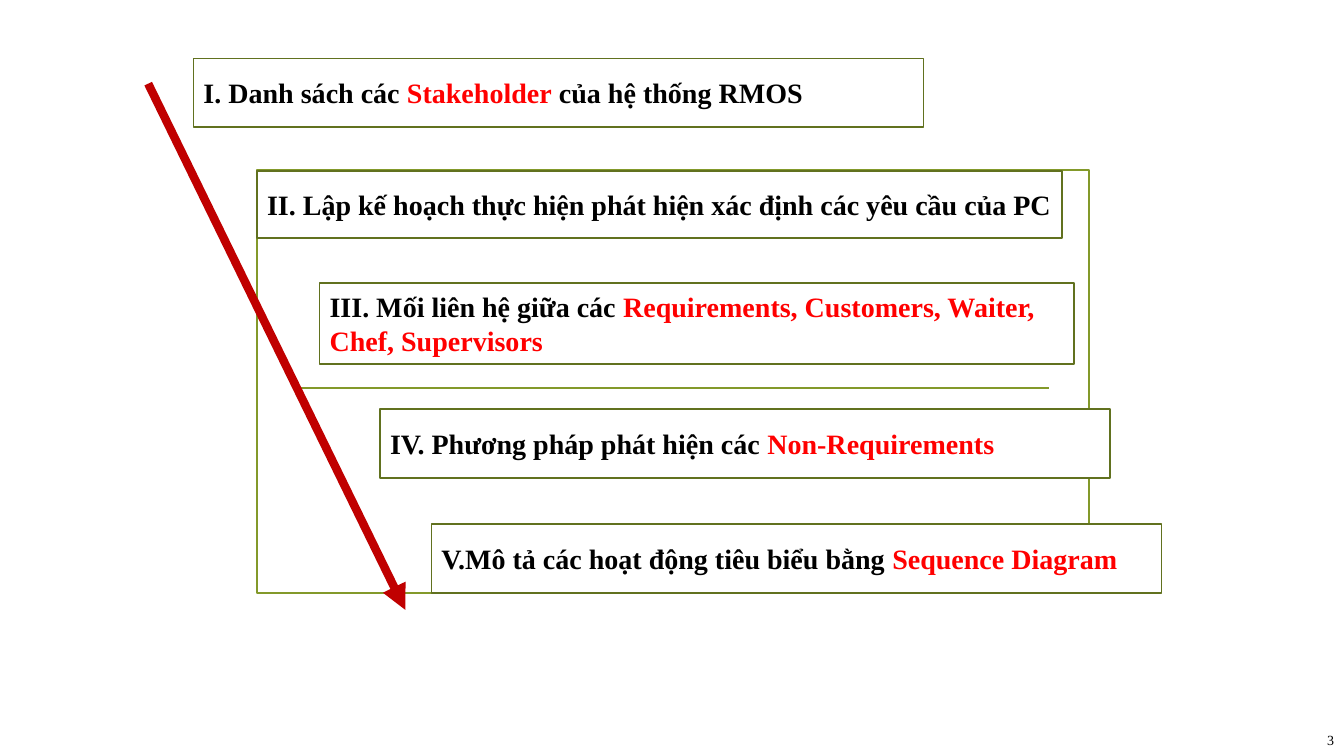
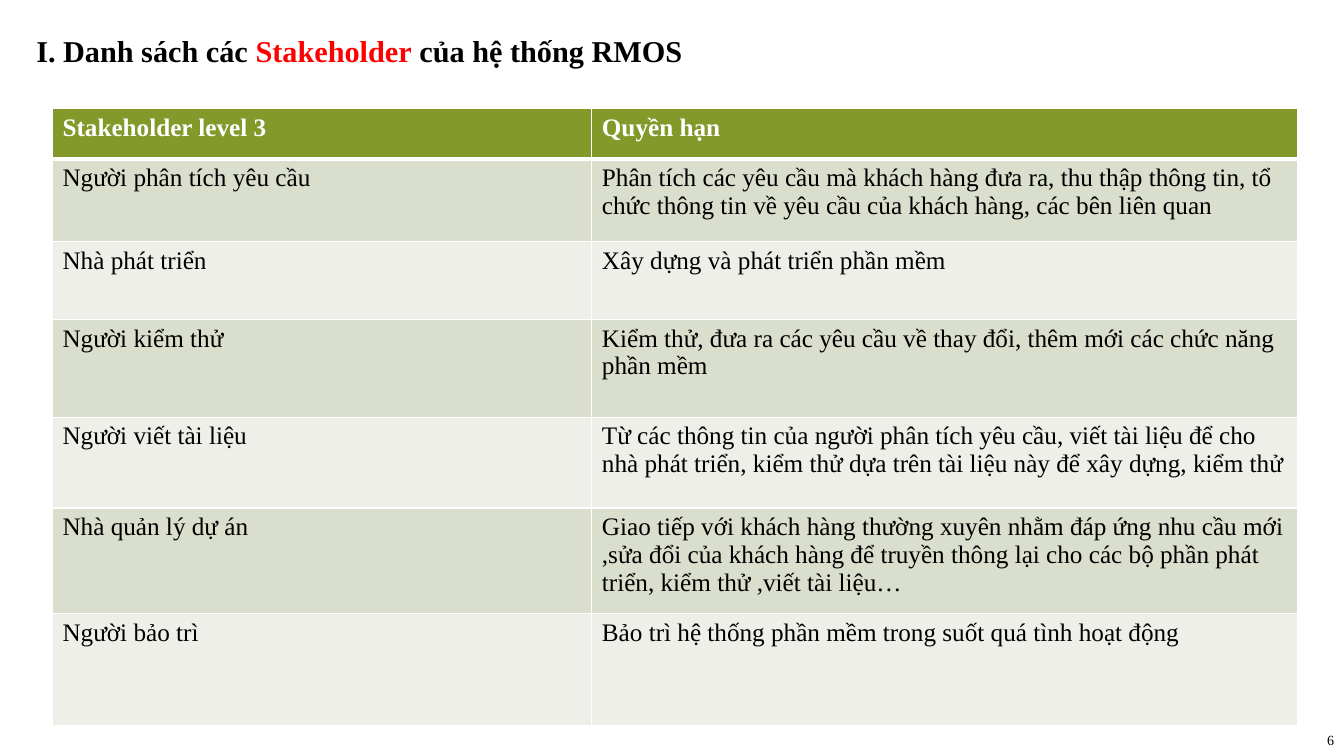
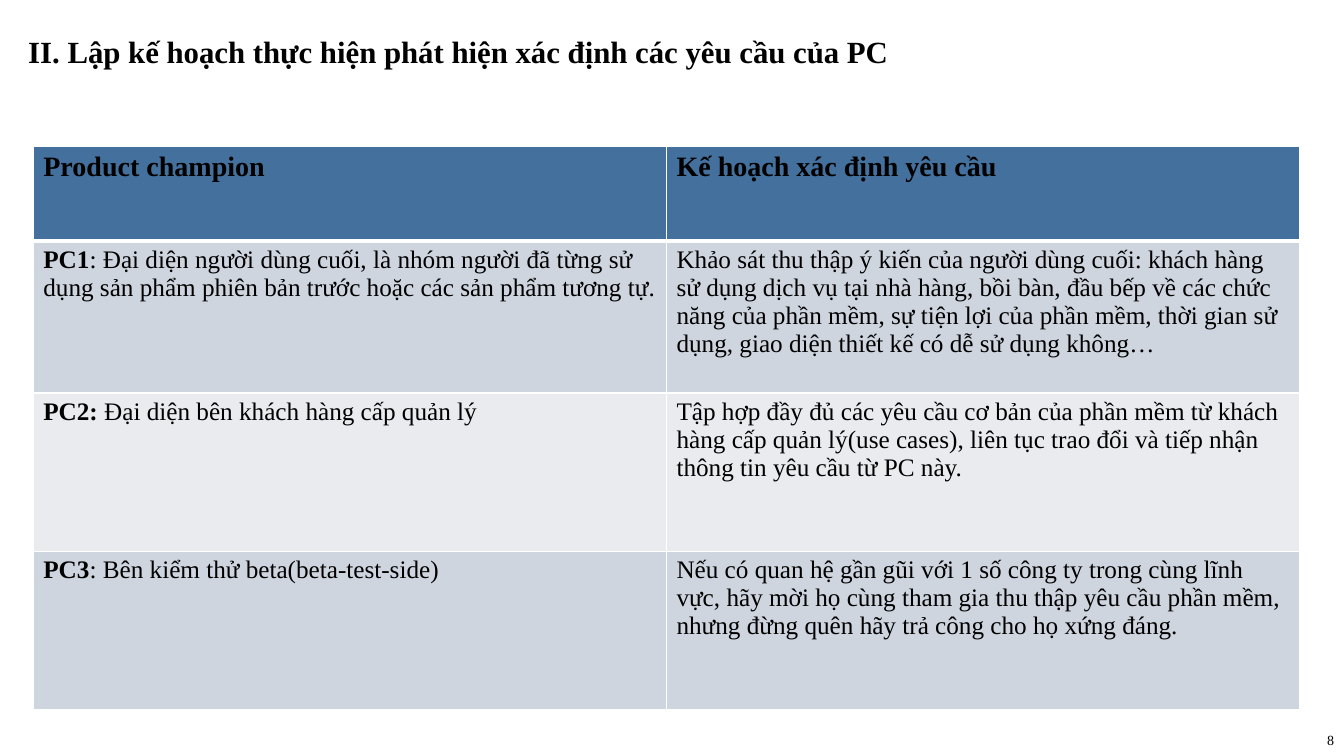
from lxml.etree import SubElement
from pptx import Presentation
from pptx.dml.color import RGBColor
from pptx.enum.shapes import MSO_CONNECTOR as CONNECTOR, MSO_SHAPE as SHAPE
from pptx.enum.text import MSO_ANCHOR as ANCHOR, MSO_AUTO_SIZE as AUTO_SIZE, PP_ALIGN as ALIGN
from pptx.oxml.ns import qn
from pptx.util import Inches, Pt

FONT = "Times New Roman"
COLORS = {
    "ink": "000000",
    "paper": "FFFFFF",
    "accent": "FF0000",
    "arrow": "C00000",
    "olive": "83992A",
    "olive_dark": "61711F",
    "olive_band": "D9DECD",
    "olive_pale": "EDEFE8",
    "blue": "44709D",
    "blue_band": "CFD5DF",
    "blue_pale": "E9EBEF",
}
TITLE_ONLY, BLANK = 5, 6


def rgb(name):
    return RGBColor.from_string(COLORS[name])


def write(frame, text, size=20, color="ink", bold=True, accent="accent",
          accent_bold=True, align=ALIGN.LEFT):
    """Fill a text frame; parts between asterisks take the accent format."""
    for number, line in enumerate(text.split("\n")):
        paragraph = frame.add_paragraph() if number else frame.paragraphs[0]
        paragraph.alignment = align
        for index, part in enumerate(line.split("*")):
            if not part:
                continue
            stressed = index % 2 == 1
            run = paragraph.add_run()
            run.text = part
            run.font.name = FONT
            run.font.size = Pt(size)
            run.font.bold = accent_bold if stressed else bold
            run.font.color.rgb = rgb(accent if stressed else color)


def set_border(cell, side, width):
    """Draw a white border; it must be set before the cell's fill."""
    line = SubElement(cell._tc.get_or_add_tcPr(), qn(f"a:ln{side}"), w=str(Pt(width)))
    fill = SubElement(line, qn("a:solidFill"))
    SubElement(fill, qn("a:srgbClr"), val=COLORS["paper"])


class Deck:
    def __init__(self):
        self.presentation = Presentation()
        self.presentation.slide_width = Inches(13.33)
        self.presentation.slide_height = Inches(7.5)
        self.slide = None

    def start_slide(self, number, layout=TITLE_ONLY):
        self.slide = self.presentation.slides.add_slide(
            self.presentation.slide_layouts[layout])
        page = self.slide.shapes.add_textbox(
            Inches(12.73), Inches(7.19), Inches(0.6), Inches(0.31)).text_frame
        page.word_wrap = True
        page.vertical_anchor = ANCHOR.MIDDLE
        write(page, str(number), size=10, bold=False, align=ALIGN.RIGHT)

    def share(self, *shapes):
        """Move shapes to the slide master, so that every slide has them."""
        tree = self.presentation.slide_master.shapes._spTree
        for shape_id, shape in enumerate(shapes, start=101):
            shape._element._nvXxPr.cNvPr.set("id", str(shape_id))
            tree.append(shape._element)

    def title(self, text, left, width, height, size=22):
        title = self.slide.shapes.title
        title.left, title.top = Inches(left), Inches(0.29)
        title.width, title.height = Inches(width), Inches(height)
        frame = title.text_frame
        frame.word_wrap = True
        frame.auto_size = AUTO_SIZE.NONE
        frame.vertical_anchor = ANCHOR.MIDDLE
        write(frame, text, size=size)

    def box(self, left, top, width, height, text="", line="olive_dark", fill="paper"):
        box = self.slide.shapes.add_shape(
            SHAPE.RECTANGLE, Inches(left), Inches(top), Inches(width), Inches(height))
        box.shadow.inherit = False
        if fill:
            box.fill.solid()
            box.fill.fore_color.rgb = rgb(fill)
        else:
            box.fill.background()
        box.line.color.rgb = rgb(line)
        box.line.width = Pt(1.25)
        if text:
            box.text_frame.word_wrap = True
            box.text_frame.margin_right = Inches(0.05)
            box.text_frame.vertical_anchor = ANCHOR.MIDDLE
            write(box.text_frame, text)
        return box

    def line(self, start, end, color, width, arrow=False):
        line = self.slide.shapes.add_connector(
            CONNECTOR.STRAIGHT, *(Inches(value) for value in (*start, *end)))
        line.line.color.rgb = rgb(color)
        line.line.width = Pt(width)
        if arrow:
            SubElement(line.line._get_or_add_ln(), qn("a:tailEnd"), type="triangle")
        SubElement(line._element.spPr, qn("a:effectLst"))
        return line

    def table(self, left, top, widths, heights, rows, palette,
              header_size=18, header_color="paper"):
        """Draw a table whose palette names the header, odd and even row fills."""
        header_fill, *bands = palette
        table = self.slide.shapes.add_table(
            len(heights), len(widths), Inches(left), Inches(top),
            Inches(sum(widths)), Inches(sum(heights))).table
        for column, width in zip(table.columns, widths):
            column.width = Inches(width)
        for r, (height, texts) in enumerate(zip(heights, rows)):
            table.rows[r].height = Inches(height)
            for c, text in enumerate(texts):
                cell = table.cell(r, c)
                for side in "LRTB":
                    under_header = (r, side) in ((0, "B"), (1, "T"))
                    set_border(cell, side, 3 if under_header else 1)
                cell.fill.solid()
                cell.fill.fore_color.rgb = rgb(bands[(r - 1) % 2] if r else header_fill)
                if r:
                    write(cell.text_frame, text, size=18, bold=False, accent="ink")
                else:
                    write(cell.text_frame, text, size=header_size, color=header_color)


AGENDA = [
    (1.92, 0.58, 7.24, 0.68, "I. Danh sách các *Stakeholder* của hệ thống RMOS"),
    (2.55, 1.7, 7.98, 0.66,
     "II. Lập kế hoạch thực hiện phát hiện xác định các yêu cầu của PC"),
    (3.17, 2.81, 7.48, 0.8,
     "III. Mối liên hệ giữa các *Requirements, Customers, Waiter,*\n*Chef, Supervisors*"),
    (3.77, 4.06, 7.24, 0.68, "IV. Phương pháp phát hiện các *Non-Requirements*"),
    (4.28, 5.2, 7.24, 0.68,
     "V.Mô tả các hoạt động tiêu biểu bằng *Sequence Diagram*"),
]

STAKEHOLDERS = [
    ("Stakeholder level 3", "Quyền hạn"),
    ("Người phân tích yêu cầu",
     "Phân tích các yêu cầu mà khách hàng đưa ra, thu thập thông tin, tổ chức "
     "thông tin về yêu cầu của khách hàng, các bên liên quan"),
    ("Nhà phát triển", "Xây dựng và phát triển phần mềm"),
    ("Người kiểm thử",
     "Kiểm thử, đưa ra các yêu cầu về thay đổi, thêm mới các chức năng phần mềm"),
    ("Người viết tài liệu",
     "Từ các thông tin của người phân tích yêu cầu, viết tài liệu để cho nhà phát "
     "triển, kiểm thử dựa trên tài liệu này để xây dựng, kiểm thử"),
    ("Nhà quản lý dự án",
     "Giao tiếp với khách hàng thường xuyên nhằm đáp ứng nhu cầu mới ,sửa đổi của "
     "khách hàng để truyền thông lại cho các bộ phần phát triển, kiểm thử ,viết "
     "tài liệu…"),
    ("Người bảo trì", "Bảo trì hệ thống phần mềm trong suốt quá tình hoạt động"),
]

CHAMPIONS = [
    ("Product champion", "Kế hoạch xác định yêu cầu"),
    ("*PC1*: Đại diện người dùng cuối, là nhóm người đã từng sử dụng sản phẩm phiên "
     "bản trước hoặc các sản phẩm tương tự.",
     "Khảo sát thu thập ý kiến của người dùng cuối: khách hàng sử dụng dịch vụ tại "
     "nhà hàng, bồi bàn, đầu bếp về các chức năng của phần mềm, sự tiện lợi của "
     "phần mềm, thời gian sử dụng, giao diện thiết kế có dễ sử dụng không…"),
    ("*PC2:* Đại diện bên khách hàng cấp quản lý",
     "Tập hợp đầy đủ các yêu cầu cơ bản của phần mềm từ khách hàng cấp quản lý(use "
     "cases), liên tục trao đổi và tiếp nhận thông tin yêu cầu từ PC này."),
    ("*PC3*: Bên kiểm thử beta(beta-test-side)",
     "Nếu có quan hệ gần gũi với 1 số công ty trong cùng lĩnh vực, hãy mời họ cùng "
     "tham gia thu thập yêu cầu phần mềm, nhưng đừng quên hãy trả công cho họ xứng "
     "đáng."),
]


def main():
    deck = Deck()

    deck.start_slide(3, layout=BLANK)
    deck.share(deck.box(2.55, 1.69, 8.25, 4.19, line="olive", fill=None),
               deck.line((2.94, 3.85), (10.4, 3.85), "olive", 1.25))
    deck.line((1.47, 0.83), (4.02, 6.05), "arrow", 6, arrow=True)
    for item in AGENDA:
        deck.box(*item)

    deck.start_slide(6)
    deck.title(AGENDA[0][-1], 0.26, 7.45, 0.42, size=21.6)
    deck.table(0.52, 1.08, [5.35, 7], [0.5, 0.82, 0.77, 0.97, 0.9, 1.05, 1.11],
               STAKEHOLDERS, ("olive", "olive_band", "olive_pale"))

    deck.start_slide(8)
    deck.title(AGENDA[1][-1], 0.18, 8.89, 0.44)
    deck.table(0.33, 1.45, [6.28, 6.28], [0.94, 1.51, 1.57, 1.57],
               CHAMPIONS, ("blue", "blue_band", "blue_pale"),
               header_size=20, header_color="ink")

    deck.presentation.save("out.pptx")


if __name__ == "__main__":
    main()
